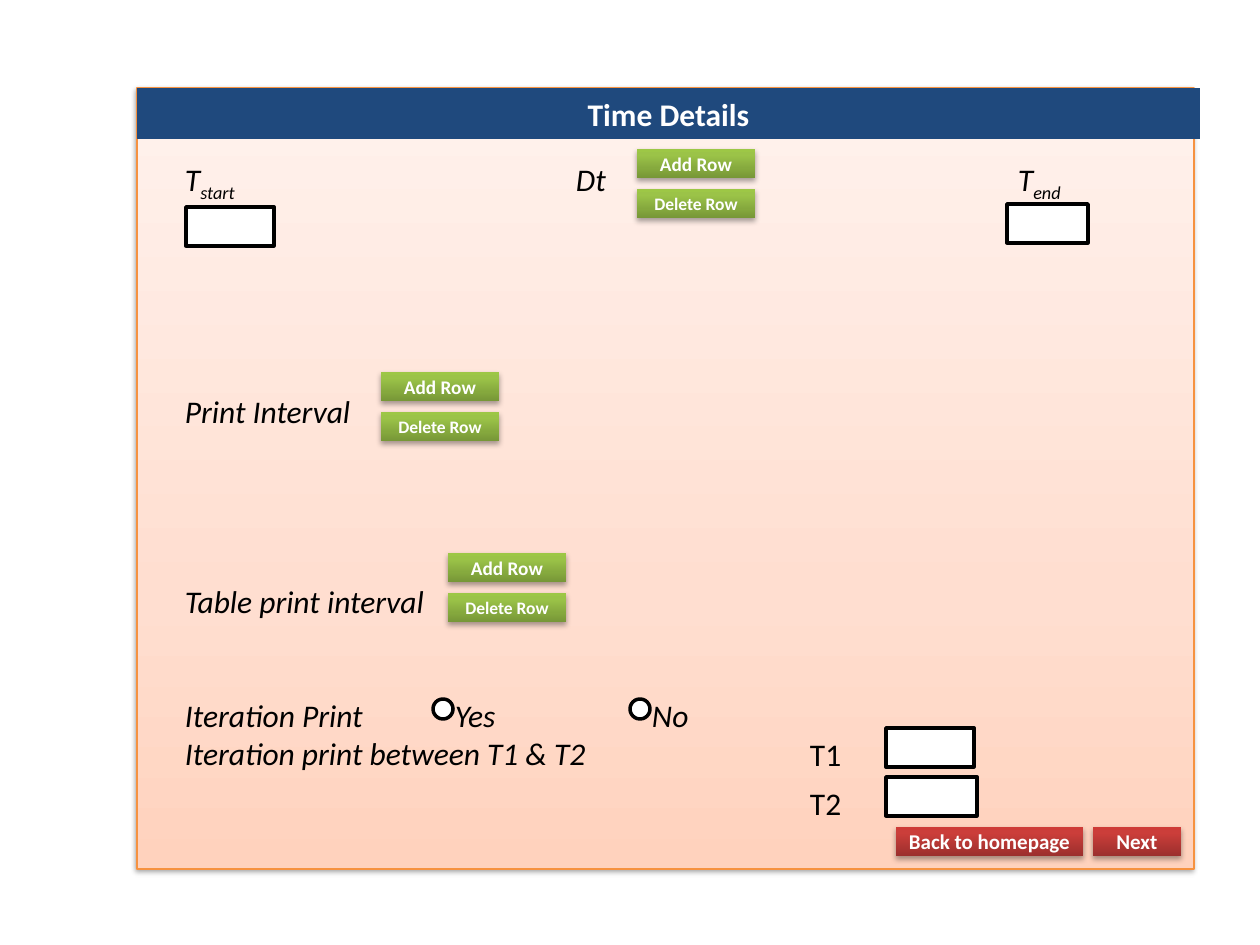
import copy

import pptx
import pptx.dml.color
import pptx.enum.shapes
import pptx.enum.text
import pptx.oxml
import pptx.oxml.ns
import pptx.util

EMU_PER_PX = 914400 / 126
FONT = "Calibri"
COLORS = {
    "white": "FFFFFF",
    "black": "000000",
    "header": "1F497D",
    "panel_edge": "F69240",
}
GRADIENTS = {
    "panel": [(0, "FFD2BD"), (0.35, "FFDED0"), (1, "FFF2ED")],
    "green": [(0, "779737"), (0.8, "9BC348"), (1, "9DC746")],
    "red": [(0, "9C2F2D"), (0.8, "CB3E3A"), (1, "CE3B37")],
}
RECT = pptx.enum.shapes.MSO_SHAPE.RECTANGLE
OVAL = pptx.enum.shapes.MSO_SHAPE.OVAL
CENTER = pptx.enum.text.PP_ALIGN.CENTER
MIDDLE = pptx.enum.text.MSO_ANCHOR.MIDDLE


def px(length):
    """Turn a length in px into EMU."""
    return pptx.util.Emu(round(length * EMU_PER_PX))


def rgb(name):
    """Look up a named colour."""
    return pptx.dml.color.RGBColor.from_string(COLORS[name])


def add_run(paragraph, text, size, color, bold=False, italic=False):
    """Append one formatted run and return it."""
    run = paragraph.add_run()
    run.text = text
    run.font.name = FONT
    run.font.size = pptx.util.Pt(size)
    run.font.bold = bold
    run.font.italic = italic
    run.font.color.rgb = rgb(color)
    return run


def add_block(slide, kind, left, top, width, height):
    """Add a preset shape without its theme shadow."""
    block = slide.shapes.add_shape(kind, px(left), px(top), px(width), px(height))
    block.shadow.inherit = False
    return block


def fill_gradient(block, gradient):
    """Fill a shape with a three-stop gradient running upwards."""
    block.fill.gradient()
    block.fill.gradient_angle = 90
    stop_list = block.fill.gradient_stops
    stops = block._element.spPr.find(".//" + pptx.oxml.ns.qn("a:gsLst"))
    for _ in range(len(GRADIENTS[gradient]) - len(stop_list)):
        stops.append(copy.deepcopy(stops[-1]))
    for stop, (position, color) in zip(block.fill.gradient_stops, GRADIENTS[gradient]):
        stop.position = position
        stop.color.rgb = pptx.dml.color.RGBColor.from_string(color)


def cast_shadow(block, alpha, distance):
    """Give a shape a soft shadow straight below it."""
    effects = block._element.spPr.find(pptx.oxml.ns.qn("a:effectLst"))
    effects.append(pptx.oxml.parse_xml(
        f'<a:outerShdw {pptx.oxml.ns.nsdecls("a")} blurRad="{pptx.util.Pt(3.1)}" '
        f'dist="{pptx.util.Pt(distance)}" dir="5400000" rotWithShape="0">'
        f'<a:srgbClr val="{COLORS["black"]}"><a:alpha val="{alpha * 1000}"/></a:srgbClr>'
        '</a:outerShdw>'))


def add_panel(slide):
    """Add the shaded form panel behind everything else."""
    panel = add_block(slide, RECT, 137, 88, 1057, 781)
    fill_gradient(panel, "panel")
    panel.line.color.rgb = rgb("panel_edge")
    panel.line.width = pptx.util.Pt(0.75)
    cast_shadow(panel, 38, 1.6)
    slide.shapes._spTree.insert(2, panel._element)


def set_title(slide, text):
    """Place the title placeholder as the header bar."""
    title = slide.shapes.title
    title.left, title.top, title.width, title.height = px(137), px(88), px(1063), px(51)
    title.fill.solid()
    title.fill.fore_color.rgb = rgb("header")
    title.text_frame.vertical_anchor = MIDDLE
    heading = title.text_frame.paragraphs[0]
    heading.alignment = CENTER
    add_run(heading, text, 18, "white", bold=True)


def add_label(slide, left, top, width, text, subscript="", italic=True):
    """Add a one-line form label, with an optional subscript."""
    label = slide.shapes.add_textbox(px(left), px(top), px(width), px(38))
    frame = label.text_frame
    frame.word_wrap = True
    frame.margin_left = frame.margin_right = frame.margin_top = frame.margin_bottom = 0
    paragraph = frame.paragraphs[0]
    add_run(paragraph, text, 18, "black", italic=italic)
    if subscript:
        index = add_run(paragraph, subscript, 18, "black", italic=italic)
        index.font._element.set("baseline", "-25000")


def add_field(slide, kind, left, top, width, height):
    """Add an empty outlined input box or radio button."""
    field = add_block(slide, kind, left, top, width, height)
    field.fill.solid()
    field.fill.fore_color.rgb = rgb("white")
    field.line.color.rgb = rgb("black")
    field.line.width = pptx.util.Pt(2)


def add_button(slide, left, top, width, text, size, gradient):
    """Add a shaded button with a centred caption."""
    button = add_block(slide, RECT, left, top, width, 29)
    fill_gradient(button, gradient)
    button.line.fill.background()
    cast_shadow(button, 35, 1.8)
    button.text_frame.word_wrap = False
    button.text_frame.vertical_anchor = MIDDLE
    caption = button.text_frame.paragraphs[0]
    caption.alignment = CENTER
    add_run(caption, text, size, "white", bold=True)


def add_row_buttons(slide, left, top):
    """Add a stacked pair of row editing buttons."""
    add_button(slide, left, top, 118, "Add Row", 11, "green")
    add_button(slide, left, top + 40, 118, "Delete Row", 10, "green")


def main():
    """Build the time details form."""
    deck = pptx.Presentation()
    deck.slide_width, deck.slide_height = px(1260), px(945)
    slide = deck.slides.add_slide(deck.slide_layouts[5])
    add_panel(slide)
    set_title(slide, "Time Details")

    for left, top, width, text, subscript in [
        (185, 160, 120, "T", "start"),
        (576, 160, 50, "Dt", ""),
        (1018, 160, 100, "T", "end"),
        (185, 392, 190, "Print Interval", ""),
        (185, 582, 260, "Table print interval", ""),
        (185, 696, 220, "Iteration Print", ""),
        (455, 696, 80, "Yes", ""),
        (652, 696, 80, "No", ""),
        (185, 734, 440, "Iteration print between T1 & T2", ""),
    ]:
        add_label(slide, left, top, width, text, subscript)

    for left, top in [(637, 149), (381, 372), (448, 553)]:
        add_row_buttons(slide, left, top)
    for left, width, text in [(896, 187, "Back to homepage"), (1093, 88, "Next")]:
        add_button(slide, left, 827, width, text, 12, "red")

    for left, top, width in [(186, 207, 88), (1007, 204, 81)]:
        add_field(slide, RECT, left, top, width, 39)
    for left in (433, 630):
        add_field(slide, OVAL, left, 699, 20, 20)
    for top, width, text in [(728, 88, "T1"), (777, 91, "T2")]:
        add_field(slide, RECT, 886, top, width, 39)
        add_label(slide, 810, top + 7, 60, text, italic=False)

    deck.save("out.pptx")


if __name__ == "__main__":
    main()
